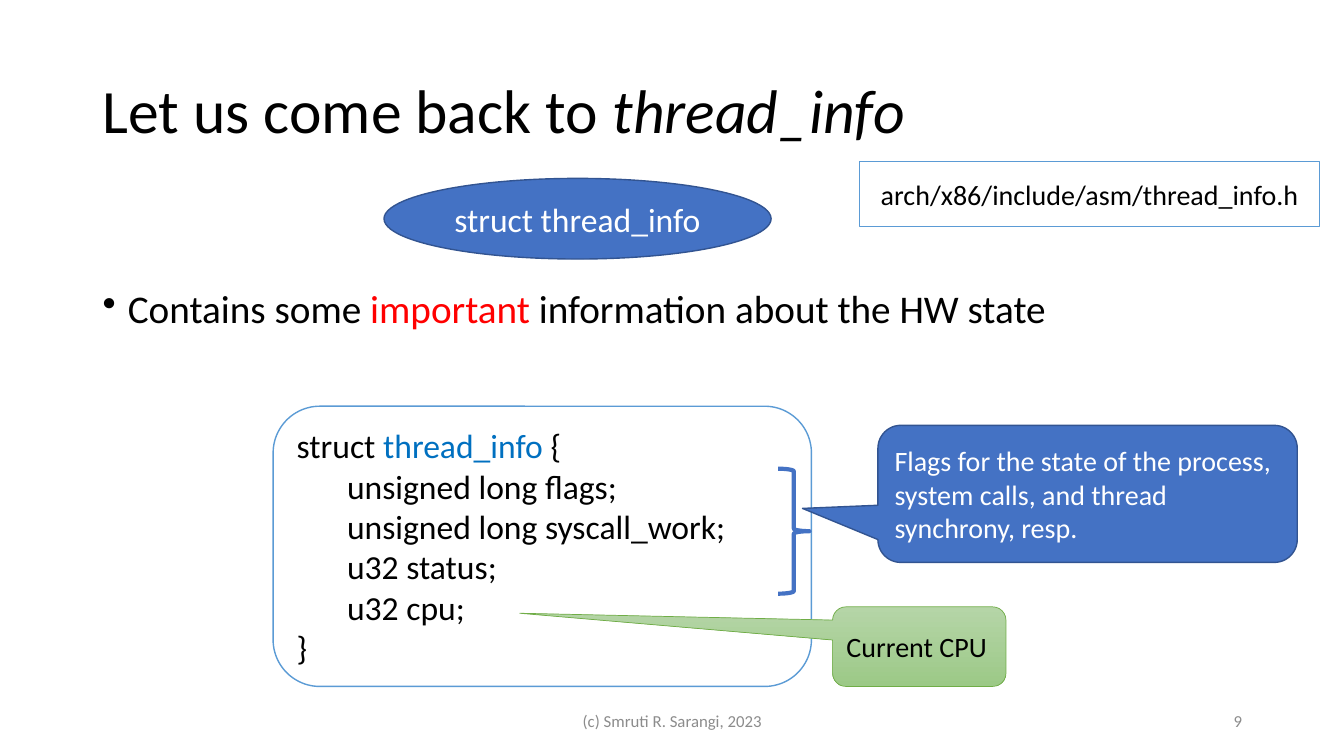
from pptx import Presentation
from pptx.dml.color import RGBColor
from pptx.enum.shapes import MSO_SHAPE
from pptx.enum.text import MSO_ANCHOR, PP_ALIGN
from pptx.oxml.ns import qn
from pptx.util import Inches, Pt

COLORS = {
    "black": "000000", "white": "FFFFFF", "red": "FF0000", "gray": "8C8C8C",
    "blue": "4472C4", "navy": "325491", "sky": "5B9BD5", "name": "0070C0",
    "green": "70AD47", "green_top": "B5D5A7", "green_bottom": "9CC987",
}


def rgb(name):
    return RGBColor.from_string(COLORS[name])


def write(tf, lines, size, color="black", align=PP_ALIGN.LEFT, anchor=MSO_ANCHOR.MIDDLE):
    """Fill a text frame; a line is a string or a list of (text, font settings)."""
    tf.word_wrap = True
    tf.vertical_anchor = anchor
    for i, line in enumerate(lines):
        p = tf.paragraphs[0] if i == 0 else tf.add_paragraph()
        p.alignment = align
        p.font.name = "Calibri"
        p.font.size = Pt(size)
        p.font.color.rgb = rgb(color)
        for text, style in [(line, {})] if isinstance(line, str) else line:
            r = p.add_run()
            r.text = text
            if "color" in style:
                r.font.color.rgb = rgb(style["color"])
            if style.get("italic"):
                r.font.italic = True


def add_text(s, box, lines, size, **style):
    tf = s.shapes.add_textbox(*map(Inches, box)).text_frame
    write(tf, lines, size, **style)
    return tf


def add_shape(s, kind, box, fill, line, width=1, adjustments=()):
    sp = s.shapes.add_shape(kind, *map(Inches, box))
    sp.shadow.inherit = False
    if fill:
        sp.fill.solid()
        sp.fill.fore_color.rgb = rgb(fill)
    else:
        sp.fill.background()
    sp.line.color.rgb = rgb(line)
    sp.line.width = Pt(width)
    for i, value in enumerate(adjustments):
        sp.adjustments[i] = value
    return sp


def shade_down(sp, top, bottom):
    sp.fill.gradient()
    sp.fill.gradient_angle = 270
    for stop, name in zip(sp.fill.gradient_stops, (top, bottom)):
        stop.color.rgb = rgb(name)


def add_bullet(p, indent):
    pPr = p._p.get_or_add_pPr()
    pPr.set("marL", str(Inches(indent)))
    pPr.set("indent", str(-Inches(indent)))
    bullet = pPr.makeelement(qn("a:buChar"), {"char": "•"})
    pPr.insert_element_before(bullet, "a:tabLst", "a:defRPr", "a:extLst")


def add_title(s):
    title = s.shapes.title
    title.left, title.top, title.width, title.height = map(Inches, (0.92, 0.4, 11.5, 1.45))
    write(title.text_frame, [[("Let us come back to ", {}),
                              ("thread_info", {"italic": True})]], 44)
    title.text_frame.paragraphs[0].line_spacing = 0.9


def add_code(s):
    sp = add_shape(s, MSO_SHAPE.ROUNDED_RECTANGLE, (2.71, 4.03, 5.34, 2.78), "white", "sky")
    write(sp.text_frame, [
        [("struct ", {}), ("thread_info ", {"color": "name"}), ("{", {})],
        "\tunsigned long flags;",
        "\tunsigned long syscall_work;",
        "\tu32 status;",
        "\tu32 cpu;",
        "}",
    ], 24)


def main():
    prs = Presentation()
    prs.slide_width, prs.slide_height = Inches(13.333), Inches(7.5)
    s = prs.slides.add_slide(prs.slide_layouts[5])
    add_title(s)

    tf = add_text(s, (0.92, 2.82, 11.5, 0.8),
                  [[("Contains some ", {}), ("important", {"color": "red"}),
                    (" information about the HW state", {})]],
                  28, anchor=MSO_ANCHOR.TOP)
    tf.paragraphs[0].line_spacing = 0.9
    add_bullet(tf.paragraphs[0], 0.25)

    header = add_shape(s, MSO_SHAPE.RECTANGLE, (8.53, 1.6, 4.56, 0.65), "white", "sky")
    write(header.text_frame, ["arch/x86/include/asm/thread_info.h"], 20,
          align=PP_ALIGN.CENTER)
    struct = add_shape(s, MSO_SHAPE.OVAL, (3.81, 1.77, 3.84, 0.8), "blue", "navy")
    write(struct.text_frame, ["struct thread_info"], 24, "white", PP_ALIGN.CENTER)

    add_code(s)
    add_shape(s, MSO_SHAPE.RIGHT_BRACE, (7.72, 4.65, 0.31, 1.24), None, "blue", 3)
    flags = add_shape(s, MSO_SHAPE.ROUNDED_RECTANGULAR_CALLOUT, (8.71, 4.22, 4.16, 1.36),
                      "blue", "navy", adjustments=(-0.68, 0.106, 0.167))
    write(flags.text_frame, ["Flags for the state of the process, system calls, "
                             "and thread synchrony, resp."], 20, "white")
    cpu = add_shape(s, MSO_SHAPE.ROUNDED_RECTANGULAR_CALLOUT, (8.26, 6.02, 1.72, 0.79),
                    "green_top", "green", 0.5, (-2.305, -0.419, 0.167))
    shade_down(cpu, "green_top", "green_bottom")
    write(cpu.text_frame, ["Current CPU"], 20)

    add_text(s, (9.42, 6.95, 3, 0.4), ["9"], 12, color="gray", align=PP_ALIGN.RIGHT)
    add_text(s, (4.42, 6.95, 4.5, 0.4), ["(c) Smruti R. Sarangi, 2023"], 12,
             color="gray", align=PP_ALIGN.CENTER)
    prs.save("out.pptx")


if __name__ == "__main__":
    main()
